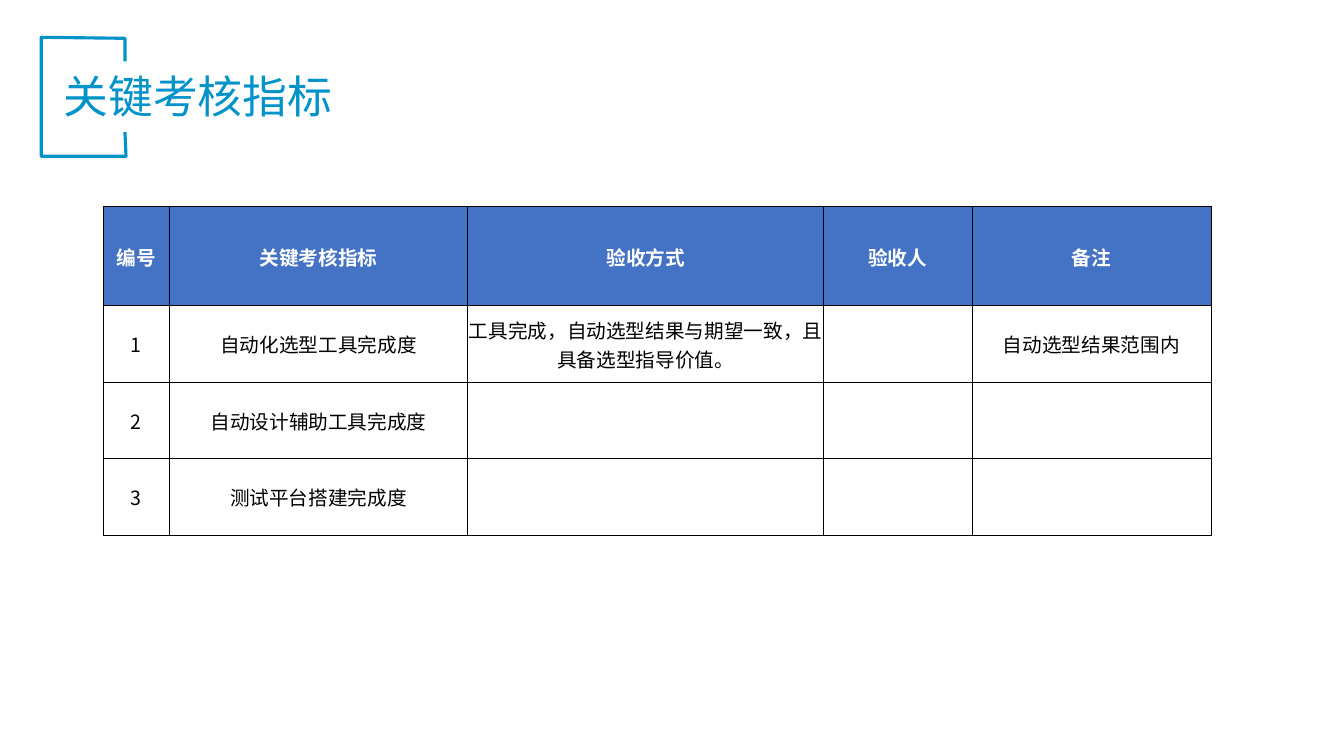
import pptx
import pptx.util
import pptx.dml.color
import pptx.enum.text
import pptx.oxml
import pptx.oxml.ns
from lxml import etree

SLIDE_WIDTH, SLIDE_HEIGHT = 13.33, 7.5
FONT = "Noto Sans CJK SC"
CYAN = pptx.dml.color.RGBColor(0x00, 0x93, 0xCA)
BLUE = pptx.dml.color.RGBColor(0x44, 0x72, 0xC4)
WHITE = pptx.dml.color.RGBColor(0xFF, 0xFF, 0xFF)
BLACK = pptx.dml.color.RGBColor(0x00, 0x00, 0x00)

COLUMN_WIDTHS = [0.66, 2.96, 3.53, 1.47, 2.37]
ROW_HEIGHTS = [0.98, 0.76, 0.76, 0.76]
INDICATORS = [
    ["编号", "关键考核指标", "验收方式", "验收人", "备注"],
    ["1", "自动化选型工具完成度", "工具完成，自动选型结果与期望一致，且具备选型指导价值。", "", "自动选型结果范围内"],
    ["2", "自动设计辅助工具完成度", "", "", ""],
    ["3", "测试平台搭建完成度", "", "", ""],
]


def inches(*lengths):
    return [pptx.util.Inches(length) for length in lengths]


def write_text(frame, text, size=14, color=BLACK, bold=False,
               align=pptx.enum.text.PP_ALIGN.CENTER):
    para = frame.paragraphs[0]
    para.alignment = align
    span = para.add_run()
    span.text = text
    span.font.size = pptx.util.Pt(size)
    span.font.bold = bold
    span.font.color.rgb = color
    span.font.name = FONT
    east_asian = etree.SubElement(span.font._element, pptx.oxml.ns.qn("a:ea"))
    east_asian.set("typeface", FONT)


def add_bracket(page, left, top, width, height):
    right, bottom = left + width, top + height
    points = [(right - 0.01, top + 0.94), (right, bottom), (left, bottom),
              (left, top), (right - 0.01, top + 0.01), (right - 0.01, top + 0.24)]
    corners = [inches(*point) for point in points]
    builder = page.shapes.build_freeform(*corners[0], scale=1.0)
    builder.add_line_segments(corners[1:], close=False)
    bracket = builder.convert_to_shape()
    bracket.shadow.inherit = False
    bracket.fill.background()
    bracket.line.color.rgb = CYAN
    bracket.line.width = pptx.util.Pt(2.25)


def add_heading(page, text, left, top, width, height):
    add_bracket(page, left, top, 0.84, height)
    title = page.shapes.title
    title.left, title.top, title.width, title.height = inches(
        left + 0.12, top + 0.26, width, 0.64)
    frame = title.text_frame
    frame.word_wrap = True
    frame.auto_size = pptx.enum.text.MSO_AUTO_SIZE.NONE
    frame.vertical_anchor = pptx.enum.text.MSO_ANCHOR.MIDDLE
    write_text(frame, text, size=32, color=CYAN, align=pptx.enum.text.PP_ALIGN.LEFT)


def add_borders(cell, top_width):
    properties = cell._tc.get_or_add_tcPr()
    for side, width in zip("LRTB", (0.5, 0.5, top_width, 0.5)):
        border = etree.SubElement(properties, pptx.oxml.ns.qn(f"a:ln{side}"))
        border.set("w", str(pptx.util.Pt(width)))
        fill = etree.SubElement(border, pptx.oxml.ns.qn("a:solidFill"))
        etree.SubElement(fill, pptx.oxml.ns.qn("a:srgbClr")).set("val", str(BLACK))


def fill_cell(cell, text, is_header):
    add_borders(cell, 1 if is_header else 0.5)
    if is_header:
        cell.fill.solid()
        cell.fill.fore_color.rgb = BLUE
    else:
        cell.fill.background()
    cell.vertical_anchor = pptx.enum.text.MSO_ANCHOR.MIDDLE
    cell.margin_left, cell.margin_top, cell.margin_right, cell.margin_bottom = inches(
        0.01, 0.01, 0.01, 0)
    if text:
        write_text(cell.text_frame, text, color=WHITE if is_header else BLACK, bold=is_header)


def add_indicator_table(page, left, top):
    box = inches(left, top, sum(COLUMN_WIDTHS), sum(ROW_HEIGHTS))
    table = page.shapes.add_table(len(ROW_HEIGHTS), len(COLUMN_WIDTHS), *box).table
    table.horz_banding = False
    for column, width in zip(table.columns, inches(*COLUMN_WIDTHS)):
        column.width = width
    for row, height in zip(table.rows, inches(*ROW_HEIGHTS)):
        row.height = height
    for row_index, texts in enumerate(INDICATORS):
        for column_index, text in enumerate(texts):
            fill_cell(table.cell(row_index, column_index), text, row_index == 0)


def main():
    deck = pptx.Presentation()
    deck.slide_width, deck.slide_height = inches(SLIDE_WIDTH, SLIDE_HEIGHT)
    page = deck.slides.add_slide(deck.slide_layouts.get_by_name("Title Only"))
    add_heading(page, "关键考核指标", 0.41, 0.37, 9.75, 1.18)
    add_indicator_table(page, 1.02, 2.05)
    deck.save("out.pptx")


if __name__ == "__main__":
    main()
